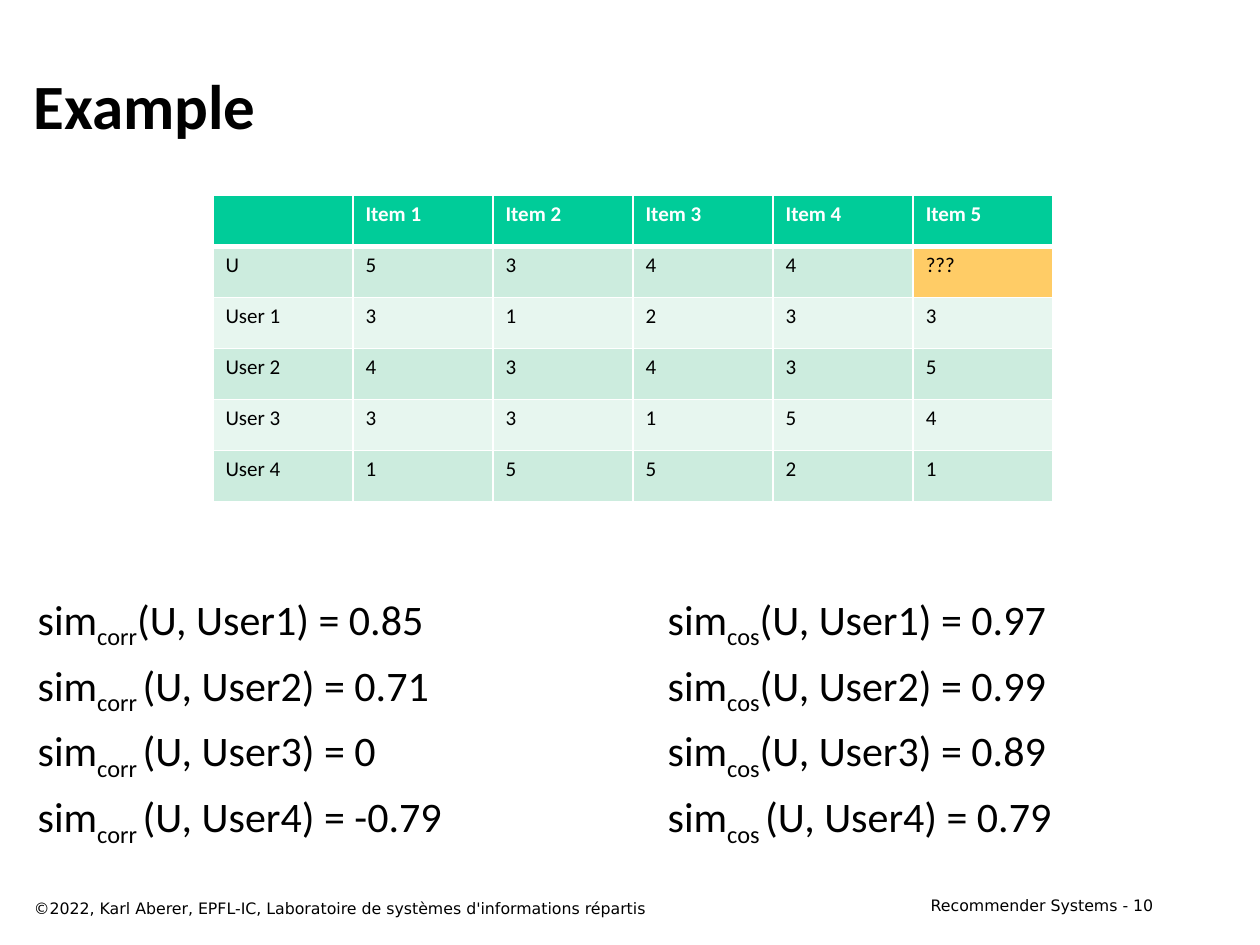
from lxml import etree
from pptx import Presentation
from pptx import util as u
from pptx.dml.color import RGBColor
from pptx.enum import text
from pptx.oxml.ns import qn

COLORS = {"ink": "000000", "white": "FFFFFF", "header": "00CC99",
          "band": "CCECDE", "light": "E7F6EF", "unknown": "FFCC66"}
RATINGS = [
    ["", "Item 1", "Item 2", "Item 3", "Item 4", "Item 5"],
    ["U", "5", "3", "4", "4", "???"],
    ["User 1", "3", "1", "2", "3", "3"],
    ["User 2", "4", "3", "4", "3", "5"],
    ["User 3", "3", "3", "1", "5", "4"],
    ["User 4", "1", "5", "5", "2", "1"],
]
# Each line alternates normal text and subscript
SIMILARITIES = [
    ["sim", "corr", "(U, User1) = 0.85\tsim", "cos", "(U, User1) = 0.97"],
    ["sim", "corr ", "(U, User2) = 0.71\tsim", "cos", "(U, User2) = 0.99"],
    ["sim", "corr ", "(U, User3) = 0\tsim", "cos", "(U, User3) = 0.89"],
    ["sim", "corr ", "(U, User4) = -0.79\tsim", "cos ", "(U, User4) = 0.79"],
]


class SlideBuilder:
    body_font = "Calibri"
    footer_font = "DejaVu Sans"

    def __init__(self, page):
        self.page = page

    def style(self, para, size, color="ink", bold=False, font=None):
        para.font.name = font or self.body_font
        para.font.size = u.Pt(size)
        para.font.bold = bold
        para.font.color.rgb = RGBColor.from_string(COLORS[color])

    def frame(self, left, top, width, height):
        box = self.page.shapes.add_textbox(*map(u.Inches, (left, top, width, height)))
        box.text_frame.word_wrap = True
        return box.text_frame

    def label(self, words, area, size, align=text.PP_ALIGN.LEFT, **look):
        frame = self.frame(*area)
        frame.vertical_anchor = text.MSO_ANCHOR.MIDDLE if size > 20 else text.MSO_ANCHOR.TOP
        para = frame.paragraphs[0]
        para.text = words
        para.alignment = align
        self.style(para, size, **look)

    def formulas(self, lines, area, size, tab):
        frame = self.frame(*area)
        for index, parts in enumerate(lines):
            para = frame.add_paragraph() if index else frame.paragraphs[0]
            para.space_before = u.Pt(0.2 * size if index else 0)
            tabs = etree.SubElement(para._p.get_or_add_pPr(), qn("a:tabLst"))
            etree.SubElement(tabs, qn("a:tab"), pos=str(u.Inches(tab)), algn="l")
            self.style(para, size)
            for position, part in enumerate(parts):
                span = para.add_run()
                span.text = part
                if position % 2:
                    span._r.get_or_add_rPr().set("baseline", "-25000")

    def borders(self, cell, top, bottom):
        properties = cell._tc.get_or_add_tcPr()
        for side, points in (("L", 1), ("R", 1), ("T", top), ("B", bottom)):
            line = etree.SubElement(properties, qn(f"a:ln{side}"), w=str(u.Pt(points)))
            fill = etree.SubElement(line, qn("a:solidFill"))
            etree.SubElement(fill, qn("a:srgbClr"), val=COLORS["white"])

    def table(self, rows, area, size):
        table = self.page.shapes.add_table(
            len(rows), len(rows[0]), *map(u.Inches, area)).table
        for r, row in enumerate(rows):
            for c, words in enumerate(row):
                cell = table.cell(r, c)
                self.borders(cell, 3 if r == 1 else 1, 3 if r == 0 else 1)
                shade = "header" if r == 0 else "band" if r % 2 else "light"
                if words == "???":
                    shade = "unknown"
                cell.fill.solid()
                cell.fill.fore_color.rgb = RGBColor.from_string(COLORS[shade])
                para = cell.text_frame.paragraphs[0]
                para.text = words
                self.style(para, size, "ink" if r else "white", bold=r == 0)


def main():
    deck = Presentation()
    deck.slide_width, deck.slide_height = u.Inches(10), u.Inches(7.5)
    slide = SlideBuilder(deck.slides.add_slide(deck.slide_layouts[6]))

    # Title
    slide.label("Example", (0.17, 0.33, 9.08, 1), 36, bold=True)

    # Similarities, correlation left and cosine right
    slide.formulas(SIMILARITIES, (0.2, 4.66, 9.08, 2.31), 24, tab=5)

    # Ratings
    slide.table(RATINGS, (1.69, 1.55, 6.67, 2.43), 12)

    # Footer
    slide.label("©2022, Karl Aberer, EPFL-IC, Laboratoire de systèmes d'informations répartis",
                (0.17, 7.08, 6.42, 0.25), 9, font=slide.footer_font)
    slide.label("Recommender Systems - 10", (7.17, 7.06, 2.08, 0.25), 9,
                align=text.PP_ALIGN.RIGHT, font=slide.footer_font)

    deck.save("out.pptx")


if __name__ == "__main__":
    main()
